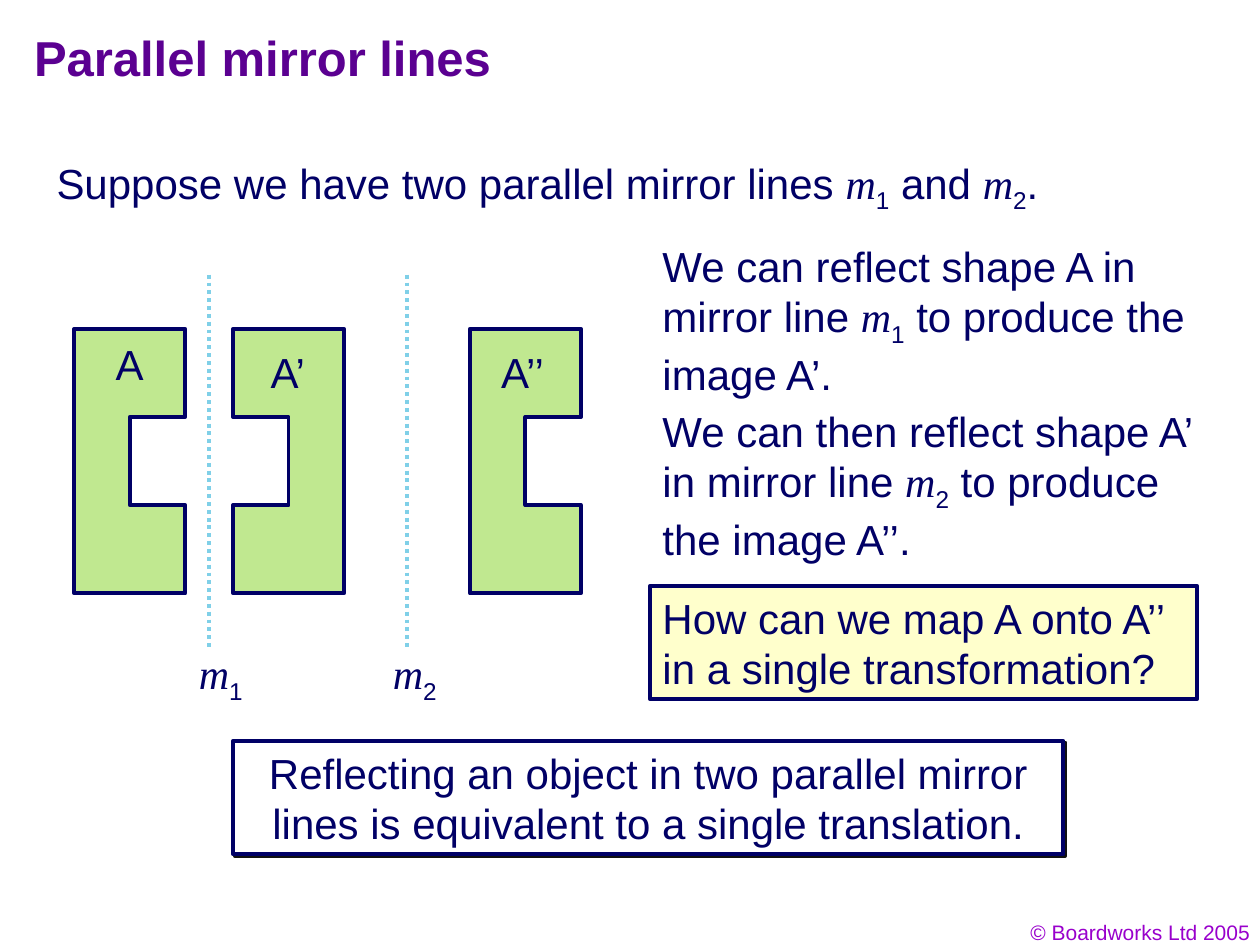
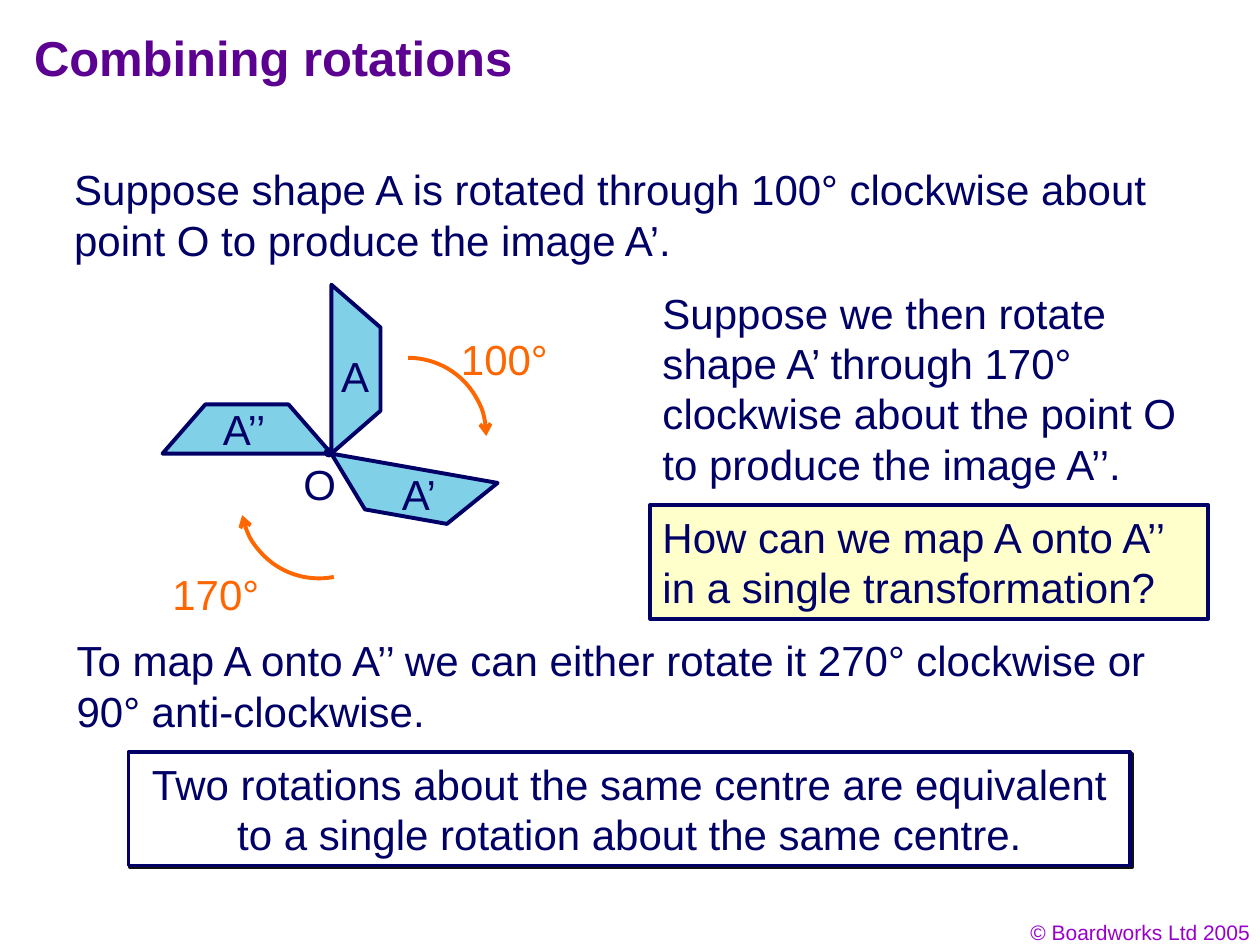
from math import cos, radians, sin

from lxml.etree import SubElement
from pptx import Presentation
from pptx.dml.color import RGBColor
from pptx.enum.dml import MSO_LINE
from pptx.enum.shapes import MSO_CONNECTOR, MSO_SHAPE
from pptx.enum.text import MSO_ANCHOR, PP_ALIGN
from pptx.oxml.ns import qn
from pptx.util import Inches, Pt

COLORS = {name: RGBColor.from_string(value) for name, value in {
    "title": "5B0091", "text": "010066", "outline": "000066", "footer": "9900CC",
    "green": "C0E890", "blue": "80D0E8", "orange": "FF6600",
    "question": "FFFFCC", "white": "FFFFFF", "shadow": "111111"}.items()}

prs = Presentation()
prs.slide_width, prs.slide_height = Inches(10), Inches(7.5)
UNIT = prs.slide_width // 10   # the slide is a grid of 10 columns by 7.5 rows
LINE_W = Pt(2.25)
RIGHT_COL = 5.16
ONE_LINE, TWO_LINES = 0.5, 0.9
QUESTION = "How can we map A onto A’’ in a single transformation?"


def write(s, box, parts, color="text", size=24, align=PP_ALIGN.LEFT, fill=None, wrap=True):
    """Place text in a box; "m" is a variable and a lone digit its subscript."""
    place = [round(v * UNIT) for v in box]
    if fill:
        sp = s.shapes.add_shape(MSO_SHAPE.RECTANGLE, *place)
        sp.shadow.inherit = False
        sp.fill.solid()
        sp.fill.fore_color.rgb = COLORS[fill]
        sp.line.color.rgb = COLORS["outline"]
        sp.line.width = LINE_W
    else:
        sp = s.shapes.add_textbox(*place)
    tf = sp.text_frame
    tf.word_wrap = wrap
    tf.vertical_anchor = MSO_ANCHOR.TOP
    p = tf.paragraphs[0]
    p.alignment = align
    for part in [parts] if isinstance(parts, str) else parts:
        r = p.add_run()
        r.text = part
        r.font.size = Pt(size)
        r.font.color.rgb = COLORS[color]
        r.font.name = "Times New Roman" if part == "m" else "Arial"
        if part == "m":
            r.font.italic = True
        elif part in ("1", "2"):
            r._r.get_or_add_rPr().set("baseline", "-25000")
    return sp


def outline(s, points, fill):
    """Draw a closed polygon through points given in grid units."""
    points = [(round(x * UNIT), round(y * UNIT)) for x, y in points]
    builder = s.shapes.build_freeform(*points[0])
    builder.add_line_segments(points[1:], close=True)
    sp = builder.convert_to_shape()
    sp.shadow.inherit = False
    sp.fill.solid()
    sp.fill.fore_color.rgb = COLORS[fill]
    sp.line.color.rgb = COLORS["outline"]
    sp.line.width = LINE_W


# Shared parts: title, copyright line and shadowed conclusion
slides = []
for title, conclusion, box in (
        ("Parallel mirror lines",
         "Reflecting an object in two parallel mirror lines is equivalent to a single translation.",
         (1.85, 5.88, 6.59, TWO_LINES)),
        ("Combining rotations",
         "Two rotations about the same centre are equivalent to a single rotation about the same centre.",
         (1.02, 5.97, 7.95, TWO_LINES))):
    s = prs.slides.add_slide(prs.slide_layouts[5])
    slides.append(s)
    sp = s.shapes.title
    sp.left, sp.top, sp.width, sp.height = [round(v * UNIT) for v in (0.17, 0.17, 8.5, 0.67)]
    tf = sp.text_frame
    tf.vertical_anchor = MSO_ANCHOR.TOP
    p = tf.paragraphs[0]
    p.alignment = PP_ALIGN.LEFT
    r = p.add_run()
    r.text = title
    r.font.name, r.font.size, r.font.bold = "Arial", Pt(28), True
    r.font.color.rgb = COLORS["title"]
    write(s, (7.69, 7.25, 2.33, 0.3), "© Boardworks Ltd 2005", "footer", 12, PP_ALIGN.RIGHT)

    sp = write(s, box, conclusion, align=PP_ALIGN.CENTER, fill="white")
    effects = sp._element.spPr.find(qn("a:effectLst"))
    shadow = SubElement(effects, qn("a:outerShdw"), dist=str(Pt(1.4)), dir="2700000",
                        algn="ctr", rotWithShape="0")
    SubElement(shadow, qn("a:srgbClr"), val=str(COLORS["shadow"]))

# Slide 1: mirror lines
s = slides[0]
mirrors = (1.66, 3.23)
for number, x, label_x in zip("12", mirrors, (1.48, 3.02)):
    line = s.shapes.add_connector(MSO_CONNECTOR.STRAIGHT, *[
        round(v * UNIT) for v in (x, 2.18, x, 5.15)])
    line.line.color.rgb = COLORS["blue"]
    line.line.width = LINE_W
    line.line.dash_style = MSO_LINE.ROUND_DOT
    SubElement(line._element.spPr, qn("a:effectLst"))
    write(s, (label_x, 5.09, 0.55, 0.56), ("m", number), wrap=False)

# Shape A and its reflections in each mirror line in turn
left, notch, right = 0.59, 1.03, 1.47
rows = [2.61 + 0.7 * i for i in range(4)]
points = [(right, rows[0]), (left, rows[0]), (left, rows[3]), (right, rows[3]),
          (right, rows[2]), (notch, rows[2]), (notch, rows[1]), (right, rows[1])]
for label, box, mirror in (("A", (0.82, 2.64, 0.42, ONE_LINE), mirrors[0]),
                           ("A’", (2.05, 2.7, 0.49, ONE_LINE), mirrors[1]),
                           ("A’’", (3.88, 2.7, 0.57, ONE_LINE), None)):
    outline(s, points, "green")
    write(s, box, label, wrap=False)
    if mirror:
        points = [(2 * mirror - x, y) for x, y in points]

# Explanation
write(s, (0.35, 1.2, 9.39, 0.56),
      ("Suppose we have two parallel mirror lines ", "m", "1", " and ", "m", "2", "."))
write(s, (RIGHT_COL, 1.86, 4.57, 1.36),
      ("We can reflect shape A in mirror line ", "m", "1", " to produce the image A’."))
write(s, (RIGHT_COL, 3.17, 4.57, 1.36),
      ("We can then reflect shape A’ in mirror line ", "m", "2", " to produce the image A’’."))
write(s, (RIGHT_COL, 4.65, 4.34, TWO_LINES), QUESTION, fill="question")

# Slide 2: shape A turned clockwise about O
s = slides[1]
ox, oy = 2.63, 3.6
blade = ((0, 0), (0, -1.34), (0.39, -1), (0.39, -0.34))
for label, box, angle in (("A", (2.61, 2.73, 0.42, ONE_LINE), 0),
                          ("A’", (3.09, 3.67, 0.49, ONE_LINE), 100),
                          ("A’’", (1.67, 3.15, 0.57, ONE_LINE), 270)):
    c, n = cos(radians(angle)), sin(radians(angle))
    outline(s, [(ox + x * c - y * n, oy + x * n + y * c) for x, y in blade], "blue")
    write(s, box, label, wrap=False)

# Centre of rotation
dot = s.shapes.add_shape(MSO_SHAPE.OVAL, *[round(v * UNIT) for v in (2.57, 3.55, 0.08, 0.08)])
dot.shadow.inherit = False
dot.fill.solid()
dot.fill.fore_color.rgb = COLORS["outline"]
dot.line.fill.background()
write(s, (2.31, 3.59, 0.46, ONE_LINE), "O", wrap=False)

# Turn arrows
for label, box, x, y, rotation in (("100°", (3.56, 2.6, 0.89, ONE_LINE), 2.62, 2.84, 0),
                                   ("170°", (1.27, 4.46, 0.89, ONE_LINE), 1.91, 3.35, 169)):
    arc = s.shapes.add_shape(MSO_SHAPE.ARC, *[round(v * UNIT) for v in (x, y, 1.24, 1.24)])
    arc.shadow.inherit = False
    arc.rotation = rotation
    arc.fill.background()
    arc.line.color.rgb = COLORS["orange"]
    arc.line.width = LINE_W
    SubElement(arc.line._get_or_add_ln(), qn("a:tailEnd"), type="arrow")
    write(s, box, label, "orange", wrap=False)

# Explanation
write(s, (0.49, 1.25, 9.31, TWO_LINES),
      "Suppose shape A is rotated through 100° clockwise about point O to produce the image A’.")
write(s, (RIGHT_COL, 2.23, 4.57, 1.7),
      "Suppose we then rotate shape A’ through 170° clockwise about the point O "
      "to produce the image A’’.")
write(s, (RIGHT_COL, 4.01, 4.43, TWO_LINES), QUESTION, fill="question")
write(s, (0.51, 4.99, 8.74, TWO_LINES),
      "To map A onto A’’ we can either rotate it 270° clockwise or 90° anti-clockwise.")

prs.save("out.pptx")
